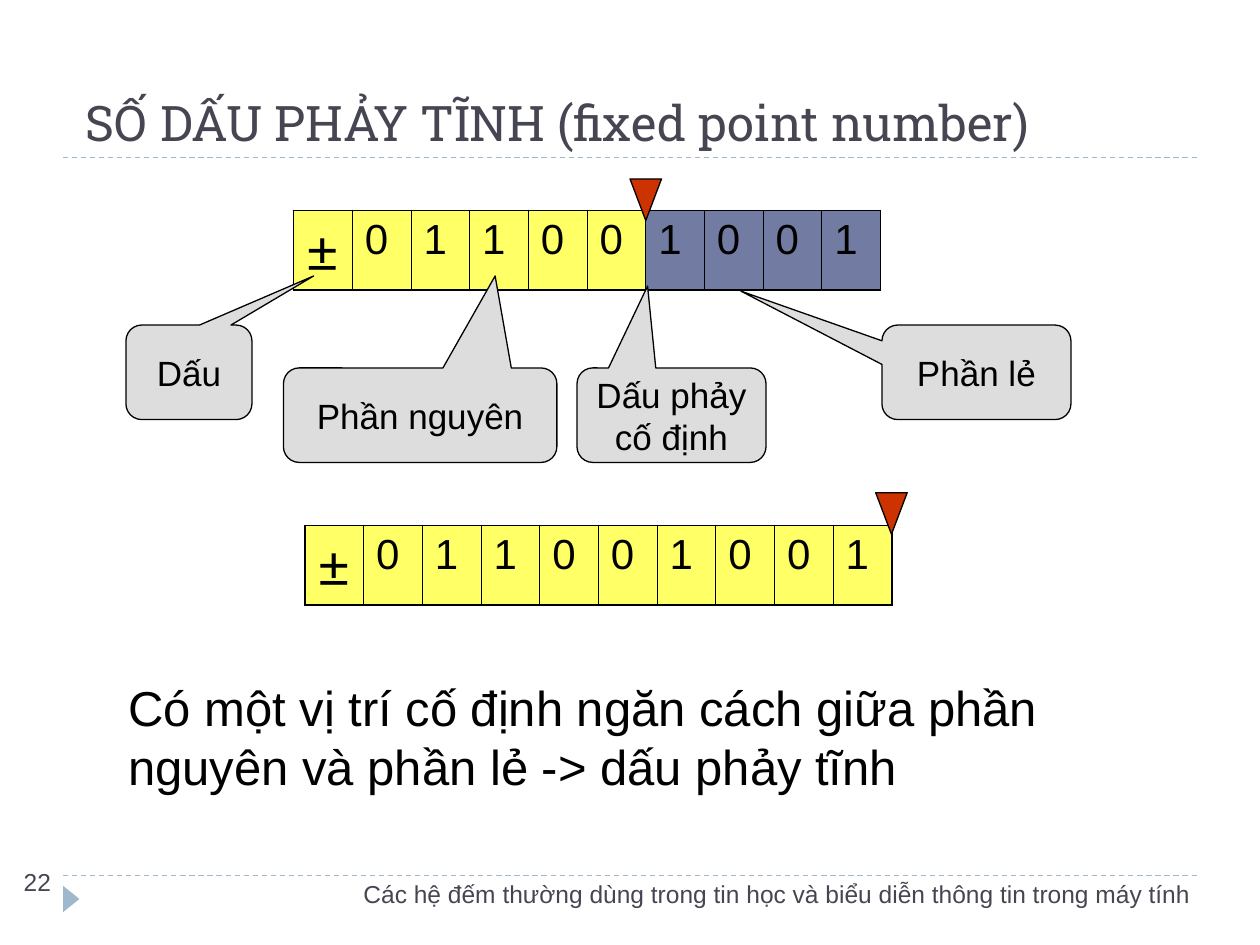
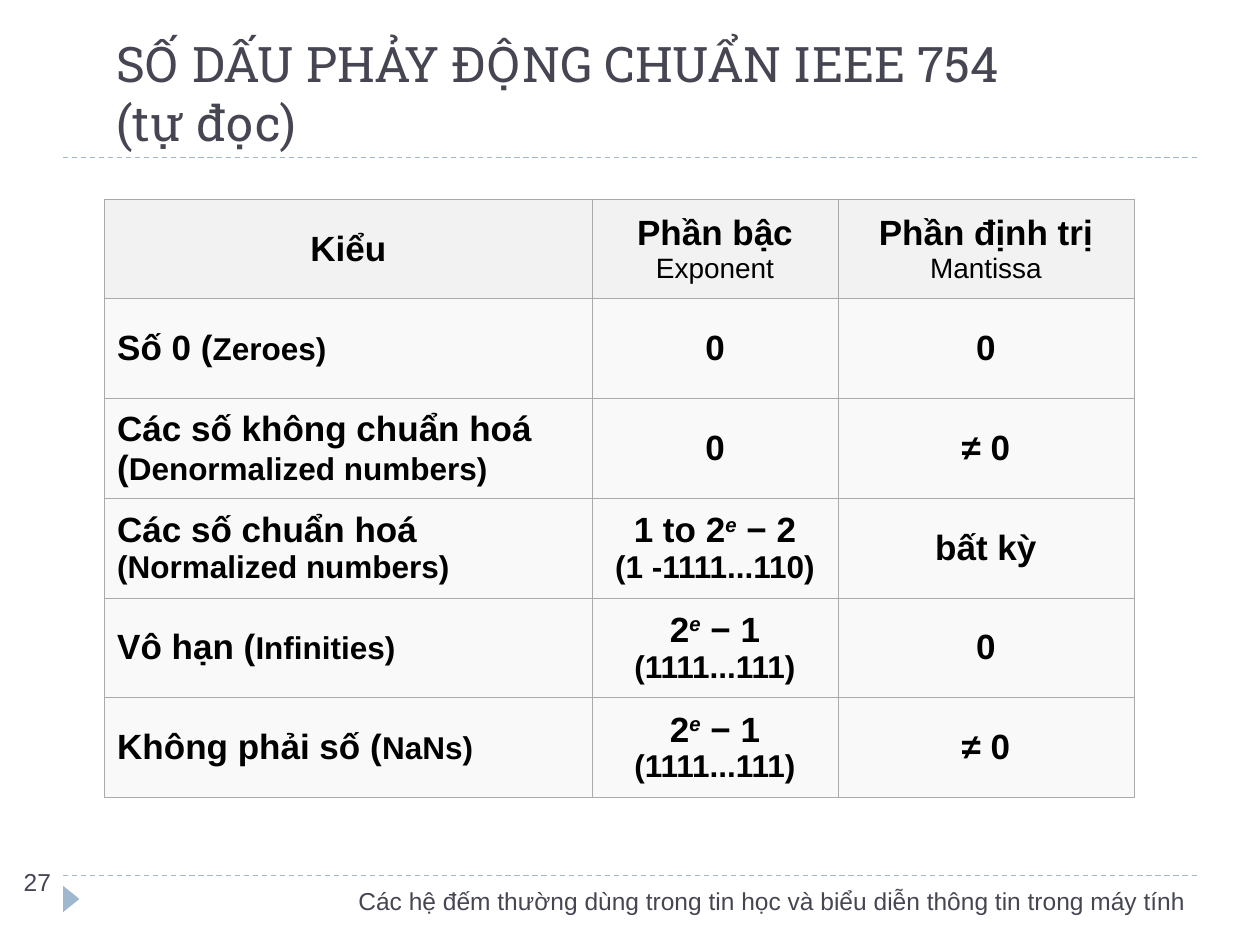
from lxml.etree import SubElement
from pptx import Presentation
from pptx.dml.color import RGBColor
from pptx.enum.dml import MSO_LINE
from pptx.enum.shapes import MSO_CONNECTOR, MSO_SHAPE
from pptx.enum.text import MSO_ANCHOR as ANCHOR, PP_ALIGN as ALIGN
from pptx.oxml.ns import qn
from pptx.util import Inches, Pt

BLACK = RGBColor(0x00, 0x00, 0x00)
INK = RGBColor(0x46, 0x46, 0x53)
RULE = RGBColor(0x9F, 0xB8, 0xCD)
YELLOW = RGBColor(0xFF, 0xFF, 0x66)
SLATE = RGBColor(0x72, 0x7C, 0xA3)
RED = RGBColor(0xCC, 0x33, 0x00)
CALLOUT_GREY = RGBColor(0xDD, 0xDD, 0xDD)
HEADER_GREY = RGBColor(0xF2, 0xF2, 0xF2)
BODY_GREY = RGBColor(0xF9, 0xF9, 0xF9)
GRID_GREY = RGBColor(0xAA, 0xAA, 0xAA)

TITLE = {"size": Pt(28), "name": "Roboto Slab"}
FOOTER = {"size": Pt(14), "name": "Arial"}
BODY = {"size": Pt(28), "name": "Arial"}
LABEL = {"size": Pt(20), "name": "Arial"}
SIGN = {"size": Pt(32), "name": "Lato"}
BIT = {"size": Pt(24), "name": "Arial"}
BOLD = {**LABEL, "bold": True}
SMALL_BOLD = {**BOLD, "size": Pt(18)}
SMALL = {"size": Pt(16), "name": "Arial", "bold": False}
EXPONENT = {**BOLD, "italic": True}

LESSON = "Các hệ đếm thường dùng trong tin học và biểu diễn thông tin trong máy tính"
THIN, THICK = 0.45, 1.08


def box(left, top, width, height):
    return [Inches(length) for length in (left, top, width, height)]


def write(frame, paragraphs, color=BLACK, align=ALIGN.LEFT, anchor=ANCHOR.TOP, before=0):
    frame.word_wrap = True
    frame.vertical_anchor = anchor
    for index, runs in enumerate(paragraphs):
        paragraph = frame.paragraphs[0] if index == 0 else frame.add_paragraph()
        paragraph.alignment = align
        paragraph.space_before = Pt(before)
        for text, style in runs:
            if text == "\n":
                paragraph.add_line_break()
                continue
            run = paragraph.add_run()
            run.text = text
            run.font.color.rgb = color
            for attribute, value in style.items():
                setattr(run.font, attribute, value)
            if style is EXPONENT:
                run._r.get_or_add_rPr().set("baseline", "30000")


def add_text(slide, place, runs, **layout):
    write(slide.shapes.add_textbox(*box(*place)).text_frame, [runs], **layout)


def add_shape(slide, kind, place, fill, line=None):
    shape = slide.shapes.add_shape(kind, *box(*place))
    shape.shadow.inherit = False
    shape.fill.solid()
    shape.fill.fore_color.rgb = fill
    if line is None:
        shape.line.fill.background()
    else:
        shape.line.color.rgb = line
        shape.line.width = Pt(0.75)
    return shape


def add_rule(slide, top):
    rule = slide.shapes.add_connector(
        MSO_CONNECTOR.STRAIGHT, Inches(0.5), Inches(top), Inches(9.5), Inches(top))
    rule.line.color.rgb = RULE
    rule.line.width = Pt(0.75)
    rule.line.dash_style = MSO_LINE.DASH
    SubElement(rule._element.spPr, qn("a:effectLst"))


def add_frame(slide, title_lines, title_left, number, lesson_place):
    for top in (6.95, 1.25):
        add_rule(slide, top)
    arrow = add_shape(slide, MSO_SHAPE.ISOSCELES_TRIANGLE, (0.46, 7.07, 0.21, 0.13), RULE)
    arrow.rotation = 90
    title = [(title_lines[0], TITLE)]
    for line in title_lines[1:]:
        title += [("\n", TITLE), (line, TITLE)]
    add_text(slide, (title_left, 0.33, 8.67, 0.92), title, color=INK, anchor=ANCHOR.BOTTOM)
    add_text(slide, (0.09, 6.83, 0.64, 0.53), [(number, FOOTER)], color=INK, before=3.5)
    add_text(slide, lesson_place, [(LESSON, FOOTER)], color=INK, align=ALIGN.RIGHT, before=3.5)


def add_grid(slide, place, rows, columns):
    table = slide.shapes.add_table(rows, columns, *box(*place)).table
    table.first_row = False
    table.horz_banding = False
    return table


def paint_cell(cell, fill, color, widths):
    properties = cell._tc.get_or_add_tcPr()
    for side, width in zip("LRTB", widths):
        border = SubElement(properties, qn(f"a:ln{side}"), w=str(Pt(width)))
        solid = SubElement(border, qn("a:solidFill"))
        SubElement(solid, qn("a:srgbClr"), val=str(color))
    cell.fill.solid()
    cell.fill.fore_color.rgb = fill


def add_register(slide, left, top, bits, fraction_start):
    table = add_grid(slide, (left, top, 4.66, 0.63), 1, len(bits))
    for index, bit in enumerate(bits):
        cell = table.cell(0, index)
        left_width = THICK if index == 0 else THIN
        right_width = THICK if index == len(bits) - 1 else THIN
        fill = YELLOW if index < fraction_start else SLATE
        paint_cell(cell, fill, BLACK, (left_width, right_width, THICK, THICK))
        style, before = (SIGN, 8) if index == 0 else (BIT, 6)
        write(cell.text_frame, [[(bit, style)]], before=before)


def add_point_marker(slide, left, top):
    marker = add_shape(
        slide, MSO_SHAPE.ISOSCELES_TRIANGLE, (left, top, 0.25, 0.33), RED, BLACK)
    marker.rotation = 180


def add_callout(slide, text, place, tip):
    left, top, width, height = place
    callout = add_shape(
        slide, MSO_SHAPE.ROUNDED_RECTANGULAR_CALLOUT, place, CALLOUT_GREY, BLACK)
    callout.adjustments[0] = (tip[0] - left) / width - 0.5
    callout.adjustments[1] = (tip[1] - top) / height - 0.5
    write(callout.text_frame, [[(text, LABEL)]],
          align=ALIGN.CENTER, anchor=ANCHOR.MIDDLE, before=5)


def add_types_table(slide, rows):
    widths = (3.87, 1.95, 2.35)
    table = add_grid(slide, (0.83, 1.58, sum(widths), 4.75), len(rows), len(widths))
    for column, width in zip(table.columns, widths):
        column.width = Inches(width)
    for row_index, row in enumerate(rows):
        for column_index, paragraphs in enumerate(row):
            cell = table.cell(row_index, column_index)
            paint_cell(cell, BODY_GREY if row_index else HEADER_GREY, GRID_GREY, [THIN] * 4)
            is_type_name = row_index > 0 and column_index == 0
            write(cell.text_frame, paragraphs,
                  align=ALIGN.LEFT if is_type_name else ALIGN.CENTER)
            cell.vertical_anchor = ANCHOR.MIDDLE


def bold(text):
    return [[(text, BOLD)]]


def heading(text, english):
    return [[(text, BOLD)], [(english, SMALL)]]


def type_name(text, english):
    return [[(f"{text} (", BOLD), (f"{english})", SMALL_BOLD)]]


def power(base, rest, binary):
    return [[(base, BOLD), ("e", EXPONENT), (rest, BOLD)], [(binary, SMALL_BOLD)]]


def build_fixed_point(slide):
    add_frame(slide, ["SỐ DẤU PHẢY TĨNH (fixed point number)"], 0.58, "22",
              (1.13, 6.93, 8.42, 0.52))
    bits = "±011001001"
    add_register(slide, 2.33, 1.67, bits, 6)
    add_register(slide, 2.42, 4.17, bits, len(bits))
    add_point_marker(slide, 5, 1.42)
    add_point_marker(slide, 6.95, 3.91)
    callouts = [
        ("Dấu", (1, 2.58, 1, 0.75), (2.49, 2.19)),
        ("Phần lẻ", (7, 2.58, 1.5, 0.75), (5.88, 2.31)),
        ("Dấu phảy cố định", (4.58, 2.92, 1.5, 0.75), (5.14, 2.27)),
        ("Phần nguyên", (2.25, 2.92, 2.17, 0.75), (3.93, 2.19)),
    ]
    for text, place, tip in callouts:
        add_callout(slide, text, place, tip)
    summary = "Có một vị trí cố định ngăn cách giữa phần nguyên và phần lẻ -> dấu phảy tĩnh"
    add_text(slide, (0.92, 5.33, 8.42, 1.04), [(summary, BODY)], before=17.5)


def build_ieee_types(slide):
    add_frame(slide, ["SỐ DẤU PHẢY ĐỘNG CHUẨN IEEE 754", "(tự đọc)"], 0.83, "27",
              (1.17, 6.98, 8.34, 0.52))
    all_ones = power("2", " − 1", "(1111...111)")
    normalized = [[("Các số chuẩn hoá", BOLD)], [("(Normalized numbers)", SMALL_BOLD)]]
    add_types_table(slide, [
        (bold("Kiểu"), heading("Phần bậc", "Exponent"), heading("Phần định trị", "Mantissa")),
        (type_name("Số 0", "Zeroes"), bold("0"), bold("0")),
        (type_name("Các số không chuẩn hoá", "Denormalized numbers"), bold("0"), bold("≠ 0")),
        (normalized, power("1 to 2", " − 2", "(1 -1111...110)"), bold("bất kỳ")),
        (type_name("Vô hạn", "Infinities"), all_ones, bold("0")),
        (type_name("Không phải số", "NaNs"), all_ones, bold("≠ 0")),
    ])


def main():
    deck = Presentation()
    deck.slide_width, deck.slide_height = Inches(10), Inches(7.5)
    blank = deck.slide_layouts[6]
    for build in (build_fixed_point, build_ieee_types):
        build(deck.slides.add_slide(blank))
    deck.save("out.pptx")


if __name__ == "__main__":
    main()
